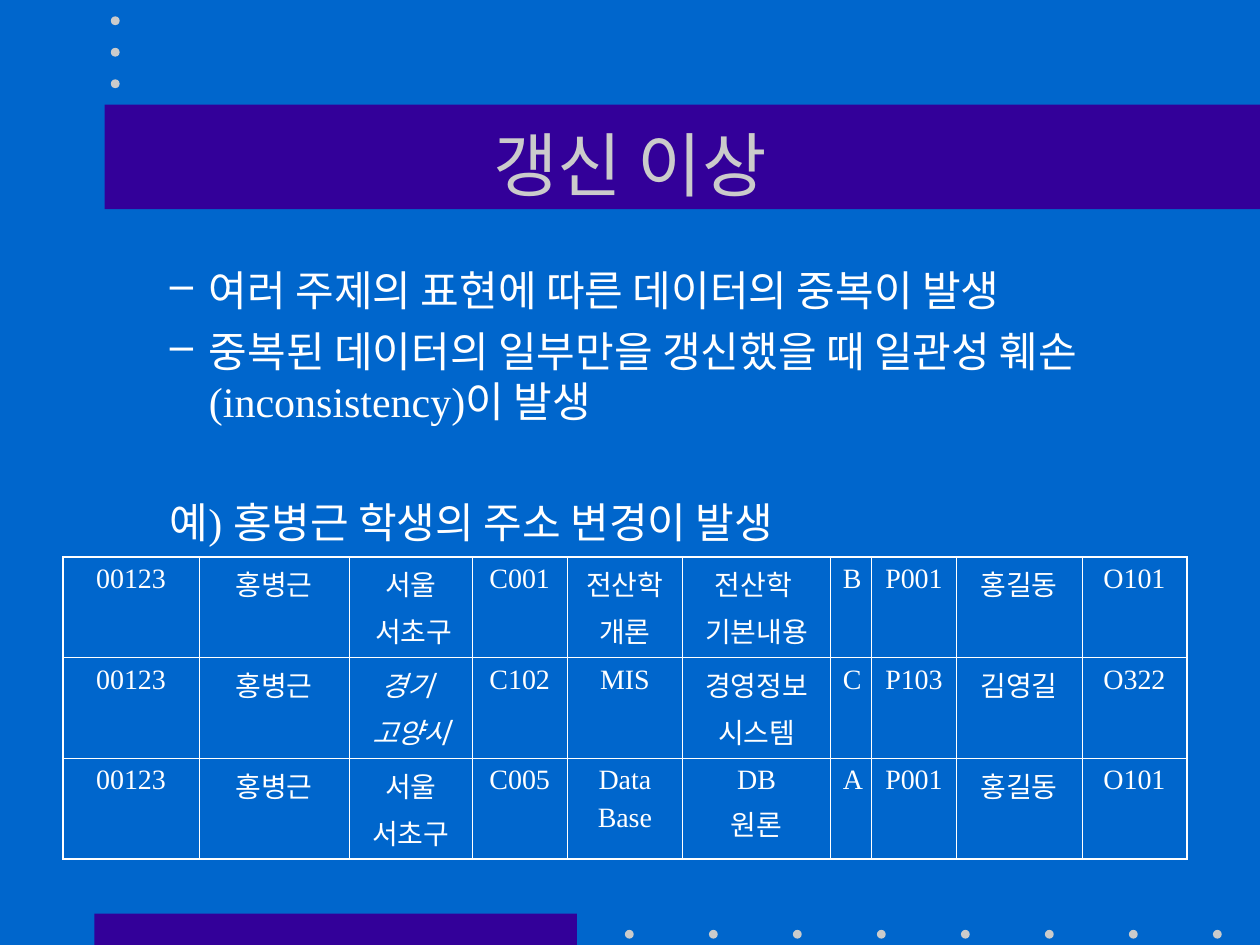
from dataclasses import dataclass

from pptx import Presentation
from pptx.dml.color import RGBColor as RGB
from pptx.enum.shapes import MSO_SHAPE as Shape
from pptx.enum.text import MSO_ANCHOR as Anchor, PP_ALIGN as Align
from pptx.oxml import parse_xml
from pptx.oxml.ns import nsdecls
from pptx.util import Inches, Pt


@dataclass(frozen=True)
class Theme:
    back: str = "0066CC"
    bar: str = "330099"
    soft: str = "CBCBCB"
    text: str = "FFFFFF"
    font: str = "Times New Roman"
    title: int = 40
    body: int = 24
    cell: int = 16
    thin: float = 0.45
    thick: float = 1.08


@dataclass(frozen=True)
class Box:
    left: float
    top: float
    width: float
    height: float

    def emu(self) -> tuple:
        return tuple(map(Inches, (self.left, self.top, self.width, self.height)))


@dataclass(frozen=True)
class Point:
    text: str
    mark: str = ""
    before: float = 0


THEME = Theme()
DOT = 0.07
BARS = [Box(0.75, 7.25, 3.83, 0.25), Box(0.83, 0.83, 9.17, 0.83)]
DOTS = [Box(4.96 + i * 2 / 3, 7.38, DOT, DOT) for i in range(8)]
DOTS += [Box(0.88, 0.13 + i / 4, DOT, DOT) for i in range(3)]

POINTS = [
    Point("여러 주제의 표현에 따른 데이터의 중복이 발생", "–"),
    Point("중복된 데이터의 일부만을 갱신했을 때 일관성 훼손(inconsistency)이 발생", "–", 6),
    Point("예) 홍병근 학생의 주소 변경이 발생", before=40),
]

COLS = [1.08, 1.19, 0.98, 0.75, 0.92, 1.17, 0.33, 0.67, 1, 0.83]
ROWS = [0.8] * 3
CELLS = [
    ["00123", "홍병근", "서울\n 서초구", "C001", "전산학\n개론",
     "전산학 \n기본내용", "B", "P001", "홍길동", "O101"],
    ["00123", "홍병근", "경기 \n고양시", "C102", "MIS",
     "경영정보\n시스템", "C", "P103", "김영길", "O322"],
    ["00123", "홍병근", "서울\n 서초구 ", "C005", "Data\nBase",
     "DB\n원론", "A", "P001", "홍길동", "O101"],
]
CHANGED = (1, 2)


def style(para, size: int, color: str) -> None:
    font = para.font
    font.name, font.size = THEME.font, Pt(size)
    font.color.rgb = RGB.from_string(color)


def add_solid(slide, kind, box: Box, color: str) -> None:
    shape = slide.shapes.add_shape(kind, *box.emu())
    shape.shadow.inherit = False
    shape.fill.solid()
    shape.fill.fore_color.rgb = RGB.from_string(color)
    shape.line.fill.background()


def add_frame(slide, box: Box):
    frame = slide.shapes.add_textbox(*box.emu()).text_frame
    frame.word_wrap = True
    return frame


def add_title(slide, text: str) -> None:
    frame = add_frame(slide, Box(0.75, 0.67, 8.5, 1.25))
    frame.vertical_anchor = Anchor.MIDDLE
    para = frame.paragraphs[0]
    para.text, para.alignment = text, Align.CENTER
    style(para, THEME.title, THEME.soft)


def add_points(slide, points: list[Point]) -> None:
    frame = add_frame(slide, Box(0.75, 2.05, 8.5, 2.35))
    for i, point in enumerate(points):
        para = frame.add_paragraph() if i else frame.paragraphs[0]
        para.text = point.text
        para.space_before = Pt(point.before)
        props = para._p.get_or_add_pPr()
        props.set("marL", str(Inches(0.81)))
        props.set("indent", str(Inches(-0.31)))
        if point.mark:
            props.append(parse_xml(f'<a:buChar {nsdecls("a")} char="{point.mark}"/>'))
        style(para, THEME.body, THEME.text)


def set_edges(cell, row: int, col: int) -> None:
    """Draw thick lines on the table's rim and thin ones inside."""
    rim = {"L": col == 0, "R": col == len(COLS) - 1,
           "T": row == 0, "B": row == len(ROWS) - 1}
    props = cell._tc.get_or_add_tcPr()
    for i, (side, outer) in enumerate(rim.items()):
        width = Pt(THEME.thick if outer else THEME.thin)
        props.insert(i, parse_xml(
            f'<a:ln{side} {nsdecls("a")} w="{width}"><a:solidFill>'
            f'<a:srgbClr val="{THEME.text}"/></a:solidFill></a:ln{side}>'))


def fill_cell(cell, text: str, italic: bool) -> None:
    cell.fill.background()
    cell.text = text
    for i, para in enumerate(cell.text_frame.paragraphs):
        para.alignment = Align.CENTER
        para.space_before = Pt(4 if i else 0)
        style(para, THEME.cell, THEME.text)
        para.font.bold, para.font.italic = False, italic


def add_grid(slide) -> None:
    box = Box(0.5, 4.42, sum(COLS), sum(ROWS))
    table = slide.shapes.add_table(len(ROWS), len(COLS), *box.emu()).table
    table.first_row = table.horz_banding = False
    for col, width in zip(table.columns, COLS):
        col.width = Inches(width)
    for r, (height, texts) in enumerate(zip(ROWS, CELLS)):
        table.rows[r].height = Inches(height)
        for c, text in enumerate(texts):
            cell = table.cell(r, c)
            fill_cell(cell, text, (r, c) == CHANGED)
            set_edges(cell, r, c)


def main() -> None:
    deck = Presentation()
    deck.slide_width, deck.slide_height = Inches(10), Inches(7.5)
    slide = deck.slides.add_slide(deck.slide_layouts[6])
    slide.background.fill.solid()
    slide.background.fill.fore_color.rgb = RGB.from_string(THEME.back)
    for bar in BARS:
        add_solid(slide, Shape.RECTANGLE, bar, THEME.bar)
    for dot in DOTS:
        add_solid(slide, Shape.OVAL, dot, THEME.soft)
    add_title(slide, "갱신 이상")
    add_points(slide, POINTS)
    add_grid(slide)
    deck.save("out.pptx")


if __name__ == "__main__":
    main()
